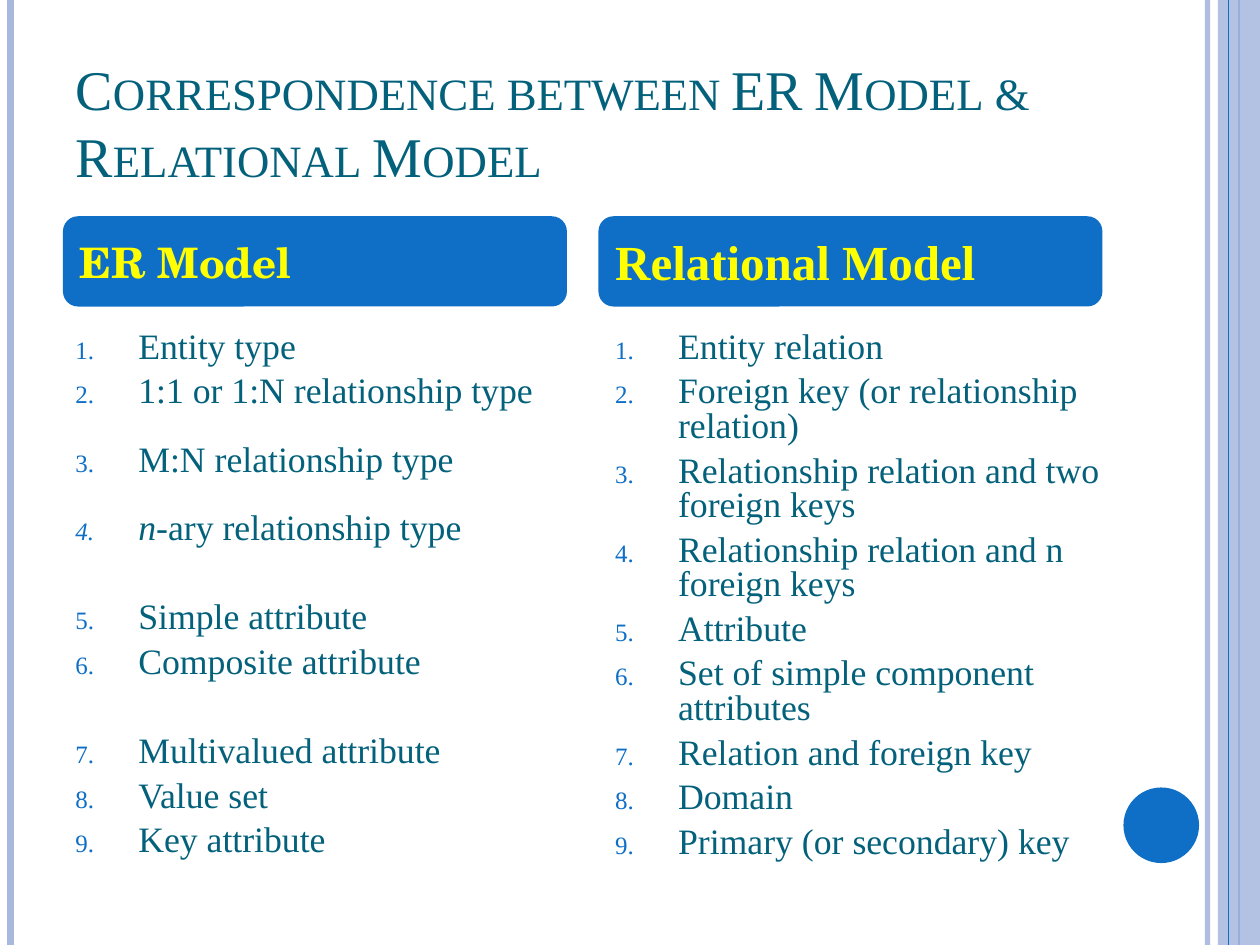
from lxml.etree import SubElement
from pptx import Presentation
from pptx.dml.color import RGBColor
from pptx.enum.shapes import MSO_CONNECTOR, MSO_SHAPE
from pptx.enum.text import MSO_ANCHOR, MSO_AUTO_SIZE, PP_ALIGN
from pptx.oxml.ns import qn
from pptx.util import Pt

WIDTH, HEIGHT = 720, 540
BLUE, PALE_BLUE, TEAL, YELLOW = "0F6FC6", "A8B9DF", "04617B", "FFFF00"
SERIF, SCHOOL = "Times New Roman", "TeX Gyre Schola"

# Space before an item, chosen so that both columns stay level
CLOSE, WIDE, WIDEST = 6, 19.3, 31.4
ER_ITEMS = [
    ("Entity type", 0),
    ("1:1 or 1:N relationship type", CLOSE),
    ("M:N relationship type", WIDE),
    ("*n*-ary relationship type", WIDE),
    ("Simple attribute", WIDEST),
    ("Composite attribute", CLOSE),
    ("Multivalued attribute", WIDEST),
    ("Value set", CLOSE),
    ("Key attribute", CLOSE),
]
RELATIONAL_ITEMS = [
    ("Entity relation", 0),
    ("Foreign key (or relationship relation)", CLOSE),
    ("Relationship relation and two foreign keys", CLOSE),
    ("Relationship relation and n foreign keys", CLOSE),
    ("Attribute", CLOSE),
    ("Set of simple component attributes", CLOSE),
    ("Relation and foreign key", CLOSE),
    ("Domain", CLOSE),
    ("Primary (or secondary) key", CLOSE),
]


def rgb(color):
    return RGBColor.from_string(color)


def set_font(font, name, size, color, bold=False):
    font.name, font.size, font.bold = name, Pt(size), bold
    font.color.rgb = rgb(color)


def set_opacity(part, percent):
    """Make the part's first solid colour partly transparent."""
    srgb = next(part._element.iter(qn("a:srgbClr")))
    SubElement(srgb, qn("a:alpha"), val=str(percent * 1000))


def add_panel(slide, kind, left, top, width, height, color):
    panel = slide.shapes.add_shape(kind, Pt(left), Pt(top), Pt(width), Pt(height))
    panel.shadow.inherit = False
    panel.fill.solid()
    panel.fill.fore_color.rgb = rgb(color)
    panel.line.fill.background()
    return panel


def add_stripe(slide, x, color, thickness):
    stripe = slide.shapes.add_connector(
        MSO_CONNECTOR.STRAIGHT, Pt(x), Pt(0), Pt(x), Pt(HEIGHT))
    stripe.line.color.rgb = rgb(color)
    stripe.line.width = Pt(thickness)
    SubElement(stripe._element.spPr, qn("a:effectLst"))
    return stripe


def add_side_decoration(slide):
    set_opacity(add_stripe(slide, 690, PALE_BLUE, 3), 93)
    add_stripe(slide, 6, PALE_BLUE, 4.5)
    add_stripe(slide, 708, BLUE, 1.5)
    band = add_panel(slide, MSO_SHAPE.RECTANGLE, 696, 0, WIDTH - 696, HEIGHT, PALE_BLUE)
    set_opacity(band, 87)
    add_stripe(slide, 702, BLUE, 0.75)
    add_panel(slide, MSO_SHAPE.OVAL, 642, 450, 43.2, 43.2, BLUE)


def place_title(slide, left, top, width, height):
    title = slide.shapes.title
    title.left, title.top = Pt(left), Pt(top)
    title.width, title.height = Pt(width), Pt(height)
    frame = title.text_frame
    frame.text = "Correspondence between ER Model & Relational Model"
    frame.auto_size = MSO_AUTO_SIZE.NONE
    frame.vertical_anchor = MSO_ANCHOR.BOTTOM
    heading = frame.paragraphs[0]
    heading.alignment = PP_ALIGN.LEFT
    set_font(heading.font, SERIF, 32, TEAL)
    heading.font._element.set("cap", "small")


def number_item(item):
    """Give the paragraph a hanging automatic number in blue."""
    properties = item._p.get_or_add_pPr()
    properties.set("marL", str(Pt(36)))
    properties.set("indent", str(-Pt(36)))
    SubElement(SubElement(properties, qn("a:buClr")), qn("a:srgbClr"), val=BLUE)
    SubElement(properties, qn("a:buSzPct"), val="70000")
    SubElement(properties, qn("a:buFont"), typeface=SERIF)
    SubElement(properties, qn("a:buAutoNum"), type="arabicPeriod")


def add_numbered_list(slide, left, top, width, height, items):
    """List the items; text between asterisks is italic."""
    box = slide.shapes.add_textbox(Pt(left), Pt(top), Pt(width), Pt(height))
    frame = box.text_frame
    frame.word_wrap = True
    for index, (wording, space_before) in enumerate(items):
        item = frame.add_paragraph() if index else frame.paragraphs[0]
        number_item(item)
        item.line_spacing = 0.8
        item.space_before = Pt(space_before)
        set_font(item.font, SERIF, 20.4, TEAL)
        for position, part in enumerate(wording.split("*")):
            if part:
                run = item.add_run()
                run.text = part
                if position % 2:
                    run.font.italic = True


def add_column_header(slide, left, top, width, height, wording, font_name, size):
    header = add_panel(slide, MSO_SHAPE.ROUNDED_RECTANGLE, left, top, width, height, BLUE)
    frame = header.text_frame
    frame.text = wording
    frame.vertical_anchor = MSO_ANCHOR.MIDDLE
    label = frame.paragraphs[0]
    label.alignment = PP_ALIGN.LEFT
    set_font(label.font, font_name, size, YELLOW, bold=True)


def main():
    deck = Presentation()
    deck.slide_width, deck.slide_height = Pt(WIDTH), Pt(HEIGHT)
    slide = deck.slides.add_slide(deck.slide_layouts[5])
    add_side_decoration(slide)
    place_title(slide, 36, 21.6, 594, 90)
    add_numbered_list(slide, 36, 186, 288, 306, ER_ITEMS)
    add_numbered_list(slide, 344.4, 186, 327.6, 306, RELATIONAL_ITEMS)
    add_column_header(slide, 36, 123.6, 288, 51.6, "ER Model", SCHOOL, 24)
    add_column_header(slide, 342, 123.6, 288, 51.6, "Relational Model", SERIF, 28)
    deck.save("out.pptx")


if __name__ == "__main__":
    main()
